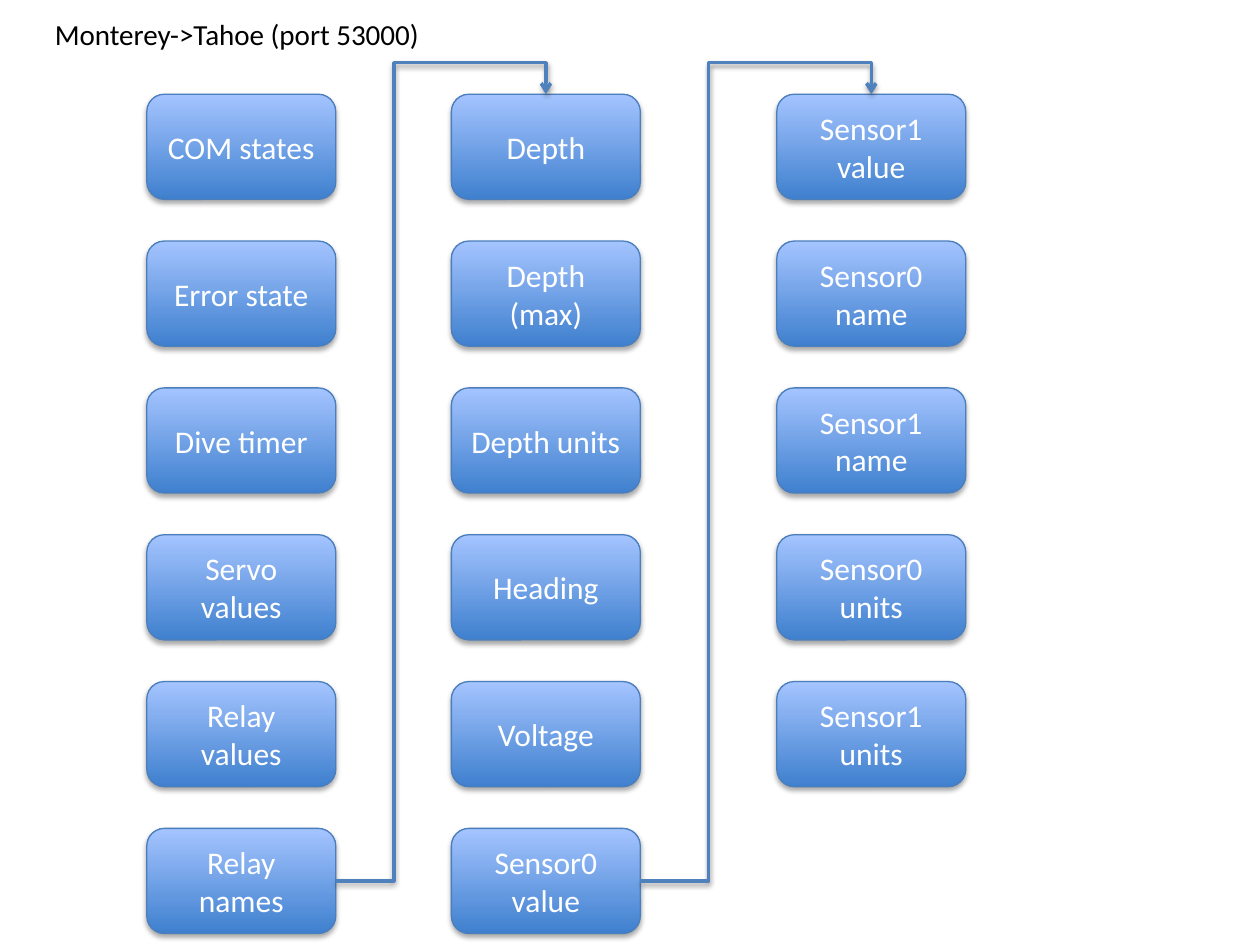
from lxml import etree
from pptx import Presentation
from pptx.dml.color import RGBColor
from pptx.enum.shapes import MSO_CONNECTOR, MSO_SHAPE
from pptx.enum.text import MSO_ANCHOR, PP_ALIGN
from pptx.oxml.ns import qn
from pptx.util import Cm, Pt

ROUNDED = MSO_SHAPE.ROUNDED_RECTANGLE
ELBOW = MSO_CONNECTOR.ELBOW
MIDDLE, TOP = MSO_ANCHOR.MIDDLE, MSO_ANCHOR.TOP
CENTER, LEFT = PP_ALIGN.CENTER, PP_ALIGN.LEFT

TITLE = "Monterey->Tahoe (port 53000)"
COLUMNS = [
    (Cm(2.96), ["COM states", "Error state", "Dive timer",
                "Servo values", "Relay values", "Relay names"]),
    (Cm(9.1), ["Depth", "Depth (max)", "Depth units",
               "Heading", "Voltage", "Sensor0 value"]),
    (Cm(15.66), ["Sensor1 value", "Sensor0 name", "Sensor1 name",
                 "Sensor0 units", "Sensor1 units"]),
]
LANES = [Cm(7.94), Cm(14.29)]
LANE_TOP = Cm(1.27)
FIRST_TOP, ROW_PITCH = Cm(1.9), Cm(2.96)
BOX_WIDTH, BOX_HEIGHT = Cm(3.81), Cm(2.12)
TOP_SITE, RIGHT_SITE = 0, 3

FONT = "Calibri"
BLACK = RGBColor(0x00, 0x00, 0x00)
WHITE = RGBColor(0xFF, 0xFF, 0xFF)
DARK_BLUE = RGBColor(0x3F, 0x80, 0xCE)
LIGHT_BLUE = RGBColor(0xA4, 0xC4, 0xFF)
BORDER_BLUE = RGBColor(0x4B, 0x7E, 0xBC)
ARROW_BLUE = RGBColor(0x4F, 0x81, 0xBD)


def add_child(parent, tag, **attributes):
    child = etree.SubElement(parent, qn(tag))
    for name, value in attributes.items():
        child.set(name, str(value))
    return child


def add_shadow(effects, distance, opacity):
    shadow = add_child(effects, "a:outerShdw", blurRad=Pt(3.1), dist=Pt(distance),
                       dir=90 * 60000, rotWithShape=0)
    color = add_child(shadow, "a:srgbClr", val=BLACK)
    add_child(color, "a:alpha", val=opacity * 1000)


def format_text(frame, text, size, color, alignment, anchor):
    frame.text = text
    frame.word_wrap = True
    frame.vertical_anchor = anchor
    paragraph = frame.paragraphs[0]
    paragraph.alignment = alignment
    paragraph.font.name = FONT
    paragraph.font.size = Pt(size)
    paragraph.font.color.rgb = color


def add_box(slide, text, left, top):
    box = slide.shapes.add_shape(ROUNDED, left, top, BOX_WIDTH, BOX_HEIGHT)
    box.fill.gradient()
    box.fill.gradient_angle = 90
    for stop, color in zip(box.fill.gradient_stops, (DARK_BLUE, LIGHT_BLUE)):
        stop.color.rgb = color
    box.line.color.rgb = BORDER_BLUE
    box.line.width = Pt(0.75)
    box.shadow.inherit = False
    add_shadow(box._element.spPr.find(qn("a:effectLst")), 1.8, 35)
    format_text(box.text_frame, text, 18, WHITE, CENTER, MIDDLE)
    return box


def add_arrow(slide, source, target, lane):
    arrow = slide.shapes.add_connector(ELBOW, 0, 0, 0, 0)
    arrow.begin_connect(source, RIGHT_SITE)
    arrow.end_connect(target, TOP_SITE)
    arrow.line.color.rgb = ARROW_BLUE
    arrow.line.width = Pt(2)
    properties = arrow._element.spPr
    add_child(properties.find(qn("a:ln")), "a:tailEnd", type="arrow")
    add_shadow(add_child(properties, "a:effectLst"), 1.6, 38)

    geometry = properties.find(qn("a:prstGeom"))
    geometry.set("prst", "bentConnector4")
    for guide in list(geometry):
        geometry.remove(guide)
    guides = add_child(geometry, "a:avLst")
    ratios = ((lane - arrow.begin_x) / arrow.width,
              (arrow.begin_y - LANE_TOP) / arrow.height)
    for number, ratio in enumerate(ratios, 1):
        add_child(guides, "a:gd", name=f"adj{number}", fmla=f"val {round(ratio * 100000)}")


presentation = Presentation()
presentation.slide_width, presentation.slide_height = Cm(25.4), Cm(19.05)
slide = presentation.slides.add_slide(presentation.slide_layouts[5])

title = slide.shapes.title
title.left, title.top, title.width, title.height = Cm(0.85), Cm(0.21), Cm(8.25), Cm(1.02)
format_text(title.text_frame, TITLE, 16.6, BLACK, LEFT, TOP)

columns = [
    [add_box(slide, text, left, FIRST_TOP + row * ROW_PITCH) for row, text in enumerate(texts)]
    for left, texts in COLUMNS
]
for current, following, lane in zip(columns, columns[1:], LANES):
    add_arrow(slide, current[-1], following[0], lane)

presentation.save("out.pptx")
